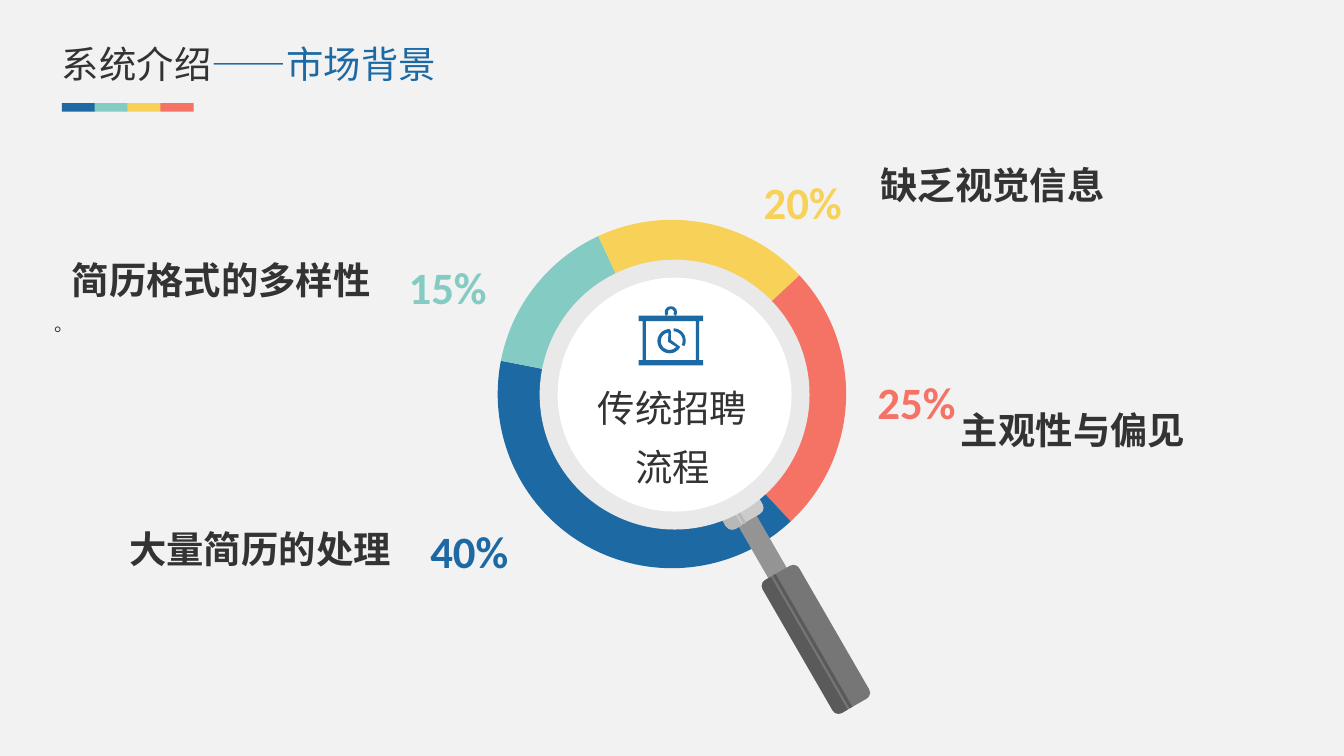
from dataclasses import dataclass
from math import cos, radians, sin

from lxml.etree import SubElement
from pptx import Presentation
from pptx.chart.data import CategoryChartData
from pptx.dml.color import RGBColor
from pptx.enum.chart import XL_CHART_TYPE as Chart
from pptx.enum.shapes import MSO_SHAPE as Shape
from pptx.enum.text import MSO_ANCHOR as Anchor, PP_ALIGN as Align
from pptx.oxml import parse_xml
from pptx.oxml.ns import nsdecls, qn
from pptx.util import Cm, Pt


@dataclass(frozen=True)
class Theme:
    """Colours, fonts and type sizes."""
    back: str = "F2F2F2"
    ink: str = "333333"
    blue: str = "1D69A3"
    teal: str = "84CBC3"
    yellow: str = "F8D158"
    coral: str = "F57365"
    rim: str = "E9E9E9"
    lens: str = "FFFFFF"
    neck: str = "949494"
    collar: str = "CCCCCC"
    collar_shade: str = "B8B8B8"
    grip: str = "767676"
    grip_shade: str = "5A5A5A"
    latin: str = "Calibri"
    cjk: str = "Noto Sans CJK SC"
    head: int = 20
    number: int = 24
    chart: int = 18
    small: int = 10


T = Theme()


def rgb(color):
    """Turn a hex string into a colour."""
    return RGBColor.from_string(color)


def write(p, text, size=T.head, color=T.ink, font=T.cjk, bold=False,
          align=None, line=None, before=None):
    """Add a formatted run to a paragraph."""
    p.alignment, p.line_spacing = align, line
    if before is not None:
        p.space_before = Pt(before)
    r = p.add_run()
    r.text = text
    r.font.size, r.font.bold, r.font.name = Pt(size), bold, font
    r.font.color.rgb = rgb(color)
    SubElement(r.font._element, qn("a:ea")).set("typeface", font)


def frame(sp):
    """Give a shape a wrapping text frame without margins."""
    tf = sp.text_frame
    tf.word_wrap = True
    tf.margin_left = tf.margin_right = tf.margin_top = tf.margin_bottom = 0
    return tf


def text_box(s, box):
    """Add an empty text box."""
    return frame(s.shapes.add_textbox(*map(Cm, box)))


def paint(sp, color):
    """Fill a shape with one flat colour."""
    sp.shadow.inherit = False
    sp.fill.solid()
    sp.fill.fore_color.rgb = rgb(color)
    sp.line.fill.background()


def block(s, box, color, kind=Shape.RECTANGLE, turn=0, corner=None):
    """Add a flat preset shape."""
    sp = s.shapes.add_shape(kind, *map(Cm, box))
    sp.rotation = turn
    if corner is not None:
        sp.adjustments[0] = corner
    paint(sp, color)


def header(s, box):
    """Place the title and the colour bar below it."""
    x, y, w, h = box
    sp = s.shapes.title
    sp.left, sp.top, sp.width, sp.height = map(Cm, box)
    tf = frame(sp)
    tf.vertical_anchor = Anchor.MIDDLE
    p = tf.paragraphs[0]
    write(p, "系统介绍", align=Align.LEFT)
    write(p, "——市场背景", color=T.blue, align=Align.LEFT)
    for i, color in enumerate((T.blue, T.teal, T.yellow, T.coral)):
        block(s, (x + i * 0.62, y + 1.18, 0.63, 0.16), color)


def ring(s, box):
    """Place the doughnut chart."""
    data = CategoryChartData()
    data.categories = ["1", "2", "3", "4"]
    data.add_series("Series 1", (25, 40, 15, 20))
    chart = s.shapes.add_chart(Chart.DOUGHNUT, *map(Cm, box), data).chart
    chart.has_legend = chart.has_title = False
    chart.font.size, chart.font.name = Pt(T.chart), T.latin
    chart.font.color.rgb = rgb(T.ink)
    plot = chart.plots[0]
    plot.vary_by_categories = True
    for i, color in enumerate((T.coral, T.blue, T.teal, T.yellow)):
        fmt = plot.series[0].points[i].format
        fmt.fill.solid()
        fmt.fill.fore_color.rgb = rgb(color)
        fmt.line.fill.background()
    plot._element.find(qn("c:firstSliceAng")).set("val", "47")
    plot._element.find(qn("c:holeSize")).set("val", "90")
    area = plot._element.getparent()
    for old in area.findall(qn("c:layout")):
        area.remove(old)
    sides = {"x": 0.05, "y": 0.06, "w": 0.9, "h": 0.88}
    area.insert(0, parse_xml(
        f'<c:layout {nsdecls("c")}><c:manualLayout><c:layoutTarget val="inner"/>'
        '<c:xMode val="edge"/><c:yMode val="edge"/>'
        + "".join(f'<c:{k} val="{v}"/>' for k, v in sides.items())
        + "</c:manualLayout></c:layout>"))


def magnifier(s, box):
    """Place the handle along its tilted axis, then the lens."""
    x, y, w, h = box
    cx, cy, tilt = x + w / 2, y + h / 2, -30
    a = radians(-tilt)
    rect, rounded = Shape.RECTANGLE, Shape.ROUNDED_RECTANGLE
    parts = (
        (0, 3.37, 0.4, 1.6, T.neck, rect, 0, None),
        (0, 2.39, 0.81, 0.74, T.collar, rounded, 0, 0.18),
        (0, 5.34, 0.8, 2.9, T.grip, rounded, 0, 0.16),
        (-0.27, 5.34, 0.25, 2.9, T.grip_shade, Shape.ROUND_2_SAME_RECTANGLE, -90, 0.5),
        (-0.07, 5.34, 0.06, 2.9, T.grip_shade, rect, 0, None),
        (-0.27, 2.56, 0.27, 0.43, T.collar_shade, Shape.ROUND_1_RECTANGLE, 180, 0.5),
        (-0.07, 2.56, 0.06, 0.43, T.collar_shade, rect, 0, None))
    for across, along, pw, ph, color, kind, turn, corner in parts:
        px = cx + across * cos(a) + along * sin(a)
        py = cy - across * sin(a) + along * cos(a)
        if turn == -90:
            pw, ph = ph, pw
        block(s, (px - pw / 2, py - ph / 2, pw, ph), color, kind, tilt + turn, corner)
    for d, color in ((w, T.rim), (w - 0.68, T.lens)):
        block(s, (cx - d / 2, cy - d / 2, d, d), color, Shape.OVAL)


def arc(cx, cy, r, start, end, steps=24):
    """Return points on an arc, with angles clockwise from the right."""
    turns = (radians(start + (end - start) * i / steps) for i in range(steps + 1))
    return [(cx + r * cos(t), cy + r * sin(t)) for t in turns]


def board_icon(s, box):
    """Place the presentation board icon, drawn on a 48 by 44 grid."""
    x, y, w, h = box
    contours = (
        [(0, 7), (48, 7), (48, 11), (45, 11), (45, 40), (48, 40), (48, 44),
         (0, 44), (0, 40), (3, 40), (3, 11), (0, 11)],
        [(5.5, 11), (5.5, 40), (42.5, 40), (42.5, 11)],
        arc(24, 4.5, 4.5, 146, 394) + arc(24, 4.5, 2.3, 394, 146),
        arc(23, 26, 9, 28, 270) + [(24, 18.5), (24, 25)],
        arc(23, 26, 6.5, 40, 262) + [(22, 26.5)],
        arc(26, 25.5, 9, -90, 28) + arc(26, 25.5, 6.8, 28, -90))
    pens = [[(px * 10, py * 10) for px, py in c] for c in contours]
    builder = s.shapes.build_freeform(*pens[0][0], scale=Cm(w) / 480)
    for i, points in enumerate(pens):
        if i:
            builder.move_to(*points[0])
        builder.add_line_segments(points[1:], close=True)
    paint(builder.convert_to_shape(Cm(x), Cm(y)), T.blue)


def lens_text(s, box):
    """Place the two lines inside the lens."""
    tf = text_box(s, box)
    write(tf.paragraphs[0], "传统招聘", align=Align.CENTER, line=1.2)
    write(tf.add_paragraph(), "流程", align=Align.CENTER, line=1.2, before=3)


def callout(s, box, label, align, at, share, color, tail=None):
    """Place a label and its percentage."""
    tf = text_box(s, box)
    write(tf.paragraphs[0], label, bold=True, align=align, line=1.2)
    if tail:
        write(tf.add_paragraph(), tail, size=T.small, font=T.latin,
              align=Align.JUSTIFY, line=1.2, before=3)
    tf = text_box(s, (*at, 1.68, 1.22))
    write(tf.paragraphs[0], share, size=T.number, color=color, font=T.latin,
          bold=True, align=Align.CENTER, line=1.2)


def main():
    """Build and save the slide."""
    prs = Presentation()
    prs.slide_width, prs.slide_height = Cm(25.4), Cm(14.29)
    s = prs.slides.add_slide(prs.slide_layouts[5])
    s.background.fill.solid()
    s.background.fill.fore_color.rgb = rgb(T.back)
    ring(s, (9.04, 3.68, 7.32, 7.54))
    magnifier(s, (10.2, 4.91, 5.1, 5.1))
    board_icon(s, (12.07, 5.79, 1.22, 1.12))
    lens_text(s, (10.69, 7.11, 4.04, 2.08))
    callout(s, (1.04, 4.7, 5.97, 1.6), "简历格式的多样性", Align.RIGHT,
            (7.62, 4.7), "15%", T.teal, tail="。")
    callout(s, (2.26, 9.78, 5.13, 0.94), "大量简历的处理", Align.RIGHT,
            (8.03, 9.7), "40%", T.blue)
    callout(s, (16.64, 2.9, 5.13, 0.94), "缺乏视觉信息", Align.LEFT,
            (14.33, 3.1), "20%", T.yellow)
    callout(s, (18.16, 7.52, 5.44, 0.94), "主观性与偏见", Align.LEFT,
            (16.48, 6.88), "25%", T.coral)
    header(s, (1.17, 0.77, 7.72, 0.86))
    prs.save("out.pptx")


if __name__ == "__main__":
    main()
